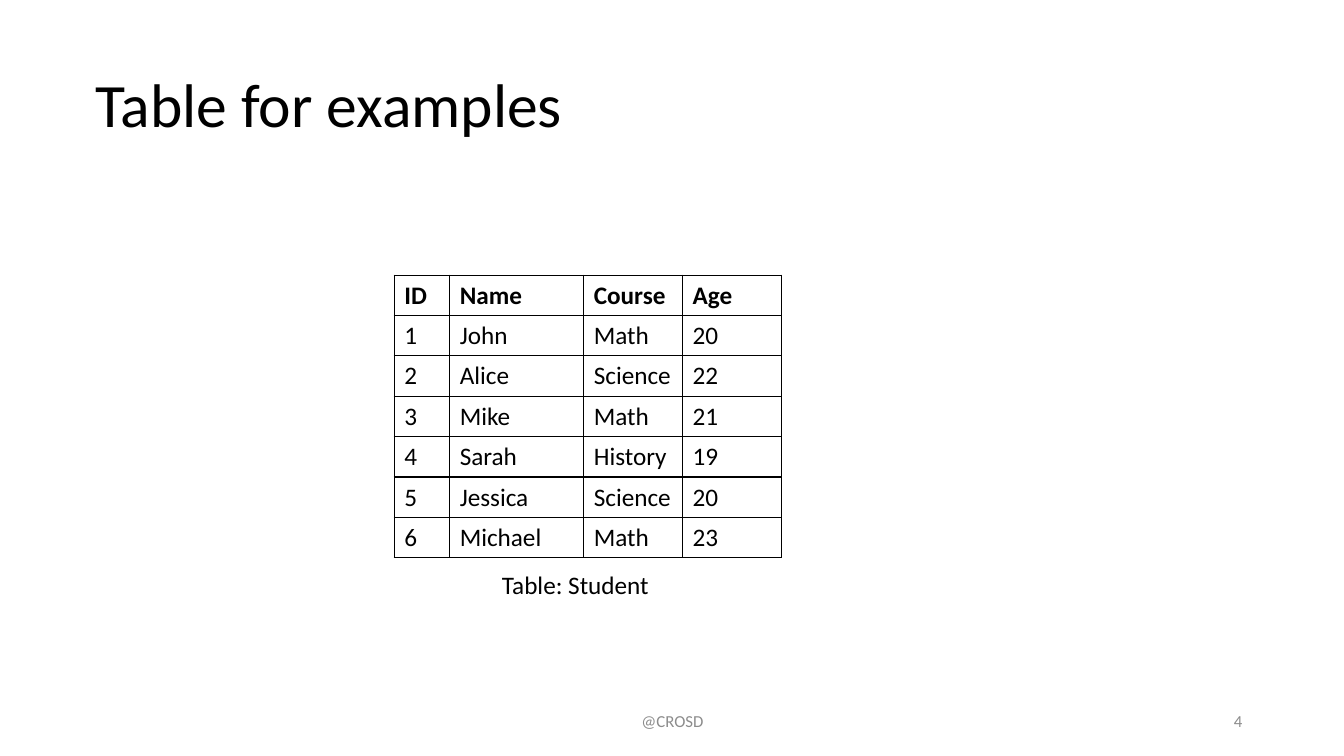
from lxml.etree import SubElement
from pptx import Presentation
from pptx.dml.color import RGBColor
from pptx.enum.text import MSO_ANCHOR as Anchor, PP_ALIGN as Align
from pptx.oxml.ns import qn
from pptx.util import Inches, Pt

BLACK = RGBColor(0x00, 0x00, 0x00)
GRAY = RGBColor(0x8C, 0x8C, 0x8C)
FONT = "Calibri"
BORDER_WIDTH = Pt(1)

STUDENTS = [
    ("ID", "Name", "Course", "Age"),
    ("1", "John", "Math", "20"),
    ("2", "Alice", "Science", "22"),
    ("3", "Mike", "Math", "21"),
    ("4", "Sarah", "History", "19"),
    ("5", "Jessica", "Science", "20"),
    ("6", "Michael", "Math", "23"),
]
COLUMN_WIDTHS = (0.55, 1.33, 0.98, 0.98)
ROW_HEIGHT = 0.4


def add_run(paragraph, text, size, color=BLACK, bold=False):
    run = paragraph.add_run()
    run.text = text
    run.font.name = FONT
    run.font.size = Pt(size)
    run.font.bold = bold
    run.font.color.rgb = color


def add_label(slide, box, text, size, color=BLACK, align=Align.LEFT, anchor=Anchor.MIDDLE):
    """Place one line of text in box and return its paragraph."""
    frame = slide.shapes.add_textbox(*map(Inches, box)).text_frame
    frame.word_wrap = True
    frame.vertical_anchor = anchor
    paragraph = frame.paragraphs[0]
    paragraph.alignment = align
    add_run(paragraph, text, size, color)
    return paragraph


def add_borders(cell):
    properties = cell._tc.get_or_add_tcPr()
    for side in ("a:lnL", "a:lnR", "a:lnT", "a:lnB"):
        line = SubElement(properties, qn(side), w=str(BORDER_WIDTH))
        fill = SubElement(line, qn("a:solidFill"))
        SubElement(fill, qn("a:srgbClr"), val=str(BLACK))


def add_title(slide, box):
    add_label(slide, box, "Table for examples", 44).line_spacing = 0.9


def add_student_table(slide, left, top):
    """Draw the student table with its caption below."""
    width, height = sum(COLUMN_WIDTHS), ROW_HEIGHT * len(STUDENTS)
    table = slide.shapes.add_table(
        len(STUDENTS), len(COLUMN_WIDTHS),
        *map(Inches, (left, top, width, height))).table
    table.horz_banding = False
    for column, column_width in zip(table.columns, COLUMN_WIDTHS):
        column.width = Inches(column_width)
    for row_index, student in enumerate(STUDENTS):
        for column_index, value in enumerate(student):
            cell = table.cell(row_index, column_index)
            add_borders(cell)
            cell.fill.background()
            add_run(cell.text_frame.paragraphs[0], value, 18, bold=row_index == 0)
    caption_box = (left + 0.97, top + height + 0.07, 2.74, 0.4)
    add_label(slide, caption_box, "Table: Student", 18, anchor=Anchor.TOP)


def add_footer(slide, top, height):
    add_label(slide, (4.42, top, 4.5, height), "@CROSD", 12, GRAY, Align.CENTER)
    add_label(slide, (9.42, top, 3, height), "4", 12, GRAY, Align.RIGHT)


def main():
    deck = Presentation()
    deck.slide_width, deck.slide_height = Inches(13.33), Inches(7.5)
    slide = deck.slides.add_slide(deck.slide_layouts[6])
    add_title(slide, (0.85, 0.34, 11.5, 1.45))
    add_student_table(slide, 3.91, 2.73)
    add_footer(slide, 6.95, 0.4)
    deck.save("out.pptx")


if __name__ == "__main__":
    main()
